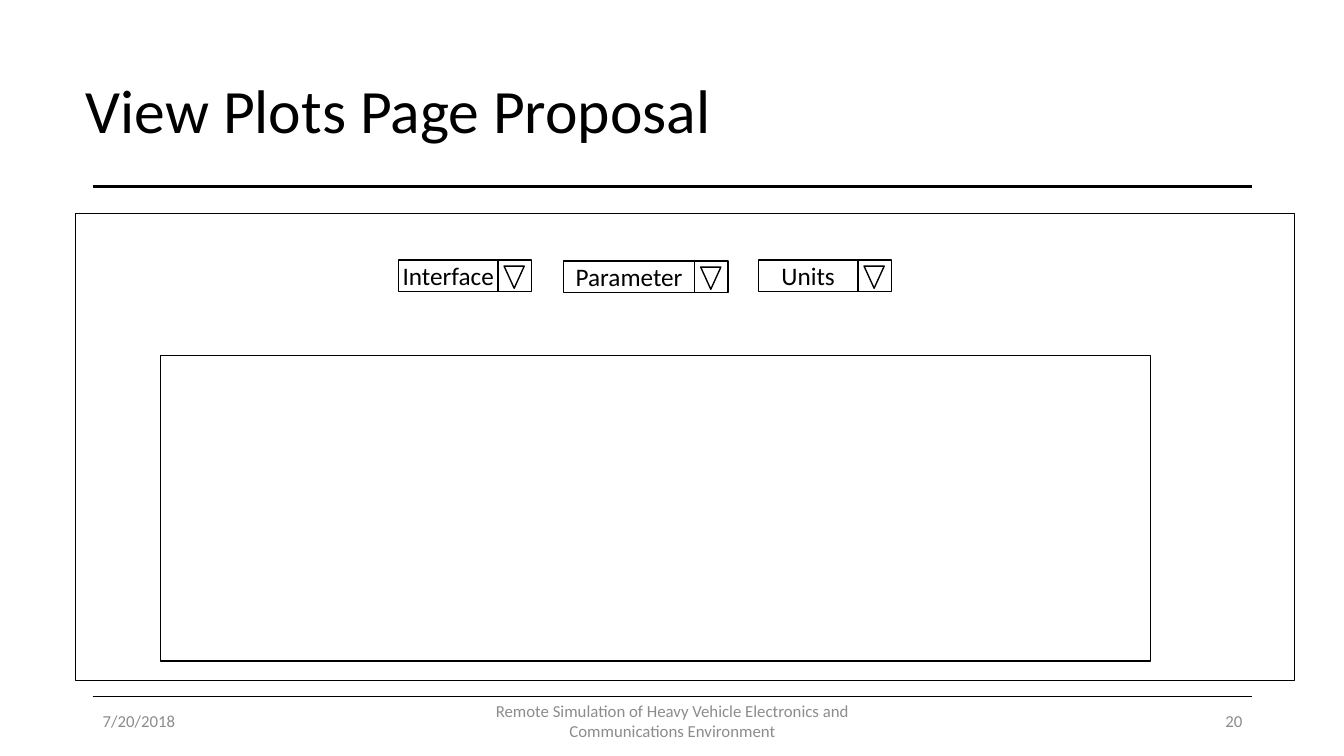
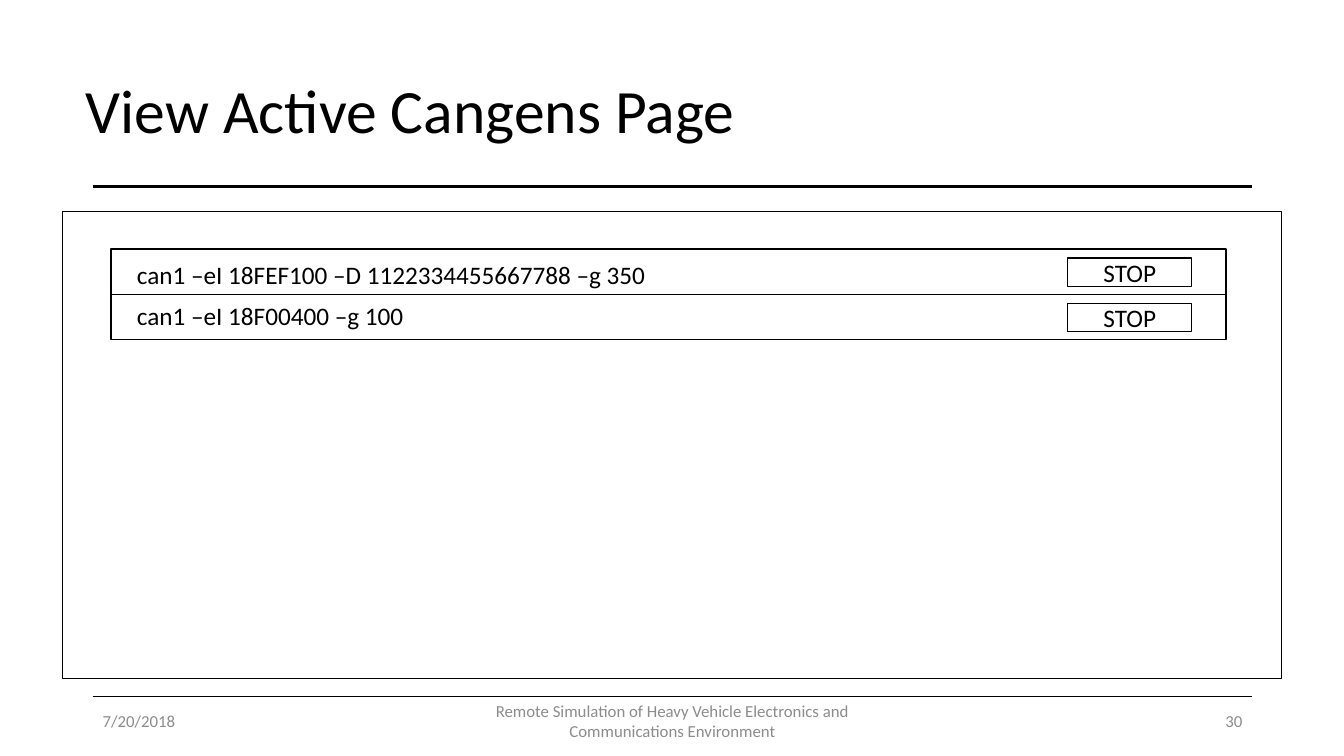
import pptx
import pptx.util
import pptx.dml.color
import pptx.enum.shapes
import pptx.enum.text
import pptx.oxml.ns
import lxml.etree

Inches = pptx.util.Inches
Pt = pptx.util.Pt
Shape = pptx.enum.shapes.MSO_SHAPE
Align = pptx.enum.text.PP_ALIGN
Anchor = pptx.enum.text.MSO_ANCHOR

HUES = {"ink": "000000", "mute": "8C8C8C"}
FONT = "Calibri"
LEFT, RIGHT = 0.92, 12.42
DATE = "7/20/2018"
TOPIC = "Remote Simulation of Heavy Vehicle Electronics and Communications Environment"


def tint(name):
    """Return a named colour."""
    return pptx.dml.color.RGBColor.from_string(HUES[name])


def write(shape, text, size, hue="ink", align=Align.LEFT, inset=None, wrap=True):
    """Put one styled paragraph, centred in height, into a shape."""
    frame = shape.text_frame
    frame.text = text
    frame.word_wrap = wrap
    frame.auto_size = pptx.enum.text.MSO_AUTO_SIZE.NONE
    frame.vertical_anchor = Anchor.MIDDLE
    if inset is not None:
        frame.margin_left = frame.margin_right = Inches(inset)
        frame.margin_top = frame.margin_bottom = 0
    para = frame.paragraphs[0]
    para.alignment = align
    font = para.runs[0].font
    font.size, font.name = Pt(size), FONT
    font.color.rgb = tint(hue)


def label(slide, box, text, size, **style):
    """Add a text box."""
    write(slide.shapes.add_textbox(*map(Inches, box)), text, size, **style)


def frame(slide, box, kind=Shape.RECTANGLE):
    """Add an outlined shape without fill."""
    shape = slide.shapes.add_shape(kind, *map(Inches, box))
    shape.shadow.inherit = False
    shape.fill.background()
    shape.line.color.rgb = tint("ink")
    shape.line.width = Pt(1)
    return shape


def rule(slide, top, width):
    """Draw a line across the content width."""
    line = slide.shapes.add_connector(
        pptx.enum.shapes.MSO_CONNECTOR.STRAIGHT,
        Inches(LEFT), Inches(top), Inches(RIGHT), Inches(top))
    line.line.color.rgb = tint("ink")
    line.line.width = Pt(width)
    props = line._element.spPr
    lxml.etree.SubElement(props, pptx.oxml.ns.qn("a:effectLst"))


def footer(slide, top, page):
    """Write the date, the topic and the page number."""
    parts = ((LEFT, 3, DATE, Align.LEFT),
             (4.42, 4.5, TOPIC, Align.CENTER),
             (RIGHT - 3, 3, str(page), Align.RIGHT))
    for left, width, text, align in parts:
        label(slide, (left, top, width, 0.4), text, 12, hue="mute", align=align)


def base(deck, title, page):
    """Add a slide with title, rules and footer."""
    slide = deck.slides.add_slide(deck.slide_layouts[5])
    head = slide.shapes.title
    head.left, head.top, head.width, head.height = map(Inches, (0.75, 0.4, 11.66, 1.45))
    write(head, title, 44)
    head.text_frame.paragraphs[0].line_spacing = 0.9
    rule(slide, 1.85, 1.5)
    rule(slide, 6.91, 0.5)
    footer(slide, 6.95, page)
    return slide


def picker(slide, box, text):
    """Draw a drop-down list with its arrow button."""
    left, top, width, height = box
    write(frame(slide, box), text, 18, align=Align.CENTER, inset=0, wrap=False)
    edge = left + width
    frame(slide, (edge, top, 0.33, height))
    arrow = frame(slide, (edge + 0.06, top + 0.06, 0.2, 0.22), Shape.ISOSCELES_TRIANGLE)
    arrow._element.spPr.xfrm.set("flipV", "1")


def plots(slide, box):
    """Draw the plot page: three pickers above an empty plot."""
    left, top, width, height = box
    frame(slide, box)
    lists = (("Interface", 3.2, 0.46, 0.99),
             ("Parameter", 4.84, 0.47, 1.3),
             ("Units", 6.77, 0.46, 0.99))
    for text, across, down, wide in lists:
        picker(slide, (left + across, top + down, wide, 0.31), text)
    frame(slide, (left + 0.84, top + 1.41, 9.82, 3.03))


def job(slide, box, text, drop):
    """Draw one running command with its stop button."""
    left, top, width, height = box
    frame(slide, box)
    label(slide, (left + 0.16, top + drop, 5.3, 0.4), text, 18, wrap=False)
    stop = frame(slide, (left + width - 1.57, top + 0.09, 1.23, 0.28))
    write(stop, "STOP", 18, align=Align.CENTER, inset=0)


def jobs(slide, box):
    """Draw the page of active commands."""
    left, top, width, height = box
    frame(slide, box)
    lines = (("can1 –eI 18FEF100 –D 1122334455667788 –g 350", 0.05),
             ("can1 –eI 18F00400 –g 100", 0.01))
    tall = 0.45
    for i, (text, drop) in enumerate(lines):
        job(slide, (left + 0.48, top + 0.37 + i * tall, 11.06, tall), text, drop)


def main():
    """Build and save the deck."""
    deck = pptx.Presentation()
    deck.slide_width, deck.slide_height = Inches(13.33), Inches(7.5)
    plots(base(deck, "View Plots Page Proposal", 20), (0.75, 2.12, 12.09, 4.63))
    jobs(base(deck, "View Active Cangens Page", 30), (0.62, 2.1, 12.09, 4.63))
    deck.save("out.pptx")


main()
